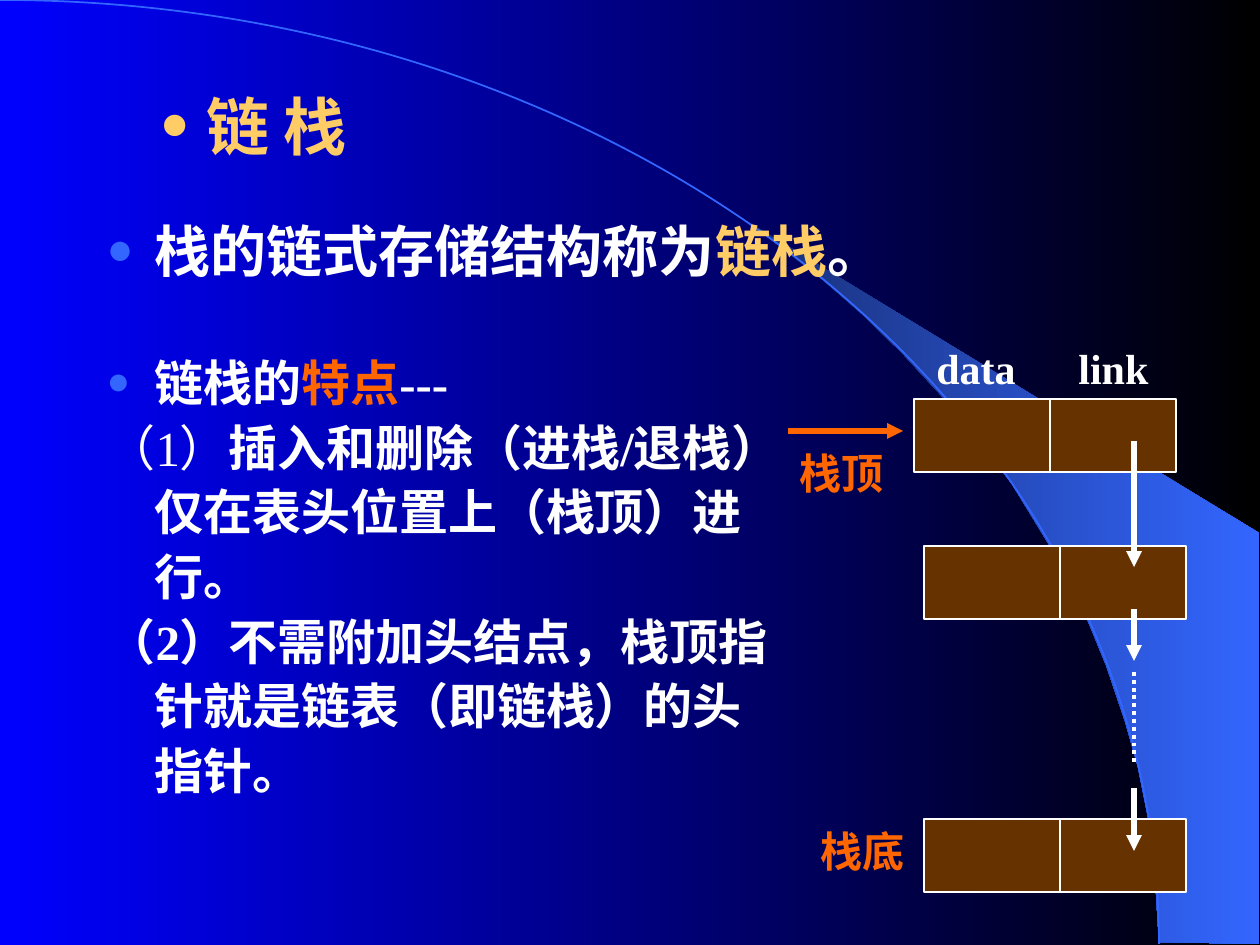
"""Build a slide that explains the linked stack with a node diagram."""
import pptx
import pptx.util
import pptx.dml.color
import pptx.enum.dml
import pptx.enum.shapes
import pptx.enum.text
import pptx.oxml.ns
from lxml import etree

PX = 914400 / 126
THEME = {
    "blue": "0000FF", "black": "000000", "navy": "182F76", "azure": "3366FF",
    "gold": "FFCC66", "orange": "FF6600", "white": "FFFFFF", "brown": "663300",
    "title": 36, "lead": 32, "body": 28, "label": 24,
    "sans": "Arial", "serif": "Times New Roman",
}

TITLE = [{"runs": [("链 栈", "gold", True)], "bullet": ("•", "gold", 142)}]
LEAD = [{"runs": [("栈的链式存储结构称为", "white", True), ("链栈", "gold", True),
                  ("。", "white", True)], "bullet": ("●", "azure", 80)}]
FEATURES = [
    {"runs": [("链栈的", "white", True), ("特点", "orange", True), ("---", "white", True)],
     "bullet": ("●", "azure", 80)},
    {"runs": [("（1）", "white", False),
              ("插入和删除（进栈/退栈）仅在表头位置上（栈顶）进行。", "white", True)],
     "spacing": 1.1},
    {"runs": [("（2）不需附加头结点，栈顶指针就是链表（即链栈）的头指针。", "white", True)],
     "spacing": 1.1},
]
PLACEHOLDERS = [
    (TITLE, (147, 46, 1071, 158), "title", "sans", 47),
    (LEAD, (94, 210, 1071, 116), "lead", "serif", 48),
    (FEATURES, (94, 346, 703, 567), "body", "serif", 48),
]
LABELS = [
    ("栈顶", (787, 441, 136, 63), "orange"),
    ("data\tlink", (924, 336, 315, 63), "white"),
    ("栈底", (808, 819, 136, 63), "orange"),
]
LINK_TAB = 142
NODES = [(914, 399), (924, 546), (924, 819)]
NODE_W, NODE_H, DATA_W = 262, 73, 136
LINK_X = 1134
LINKS = [(441, 567), (609, 661), (788, 851)]
DOTTED = (672, 766)
TOP_POINTER = (788, 431, 903, 431)
ARC = [(0, 0), (640, 0), (1159, 422), (1159, 944)]
WEDGE = [
    (1159, 942), (1259, 944), (1259, 533), (742, 218), (786, 251), (823, 280),
    (863, 315), (902, 353), (960, 416), (1012, 484), (1048, 543), (1081, 604),
    (1106, 665), (1125, 721), (1138, 767), (1150, 827), (1155, 877),
]


def emu(px):
    return pptx.util.Emu(round(px * PX))


def color(name):
    return pptx.dml.color.RGBColor.from_string(THEME[name])


def add_xml(parent, tag, **attrs):
    return etree.SubElement(parent, pptx.oxml.ns.qn(tag), attrs)


def format_run(r, size, font, tint, bold):
    r.font.size = pptx.util.Pt(THEME[size])
    r.font.name = THEME[font]
    r.font.color.rgb = color(tint)
    r.font.bold = bold


def add_bullet(pPr, char, tint, percent):
    add_xml(add_xml(pPr, "a:buClr"), "a:srgbClr", val=THEME[tint])
    add_xml(pPr, "a:buSzPct", val=str(percent * 1000))
    add_xml(pPr, "a:buFont", typeface=THEME["serif"])
    add_xml(pPr, "a:buChar", char=char)


def fill_placeholder(sp, items, box, size, font, indent):
    sp.left, sp.top, sp.width, sp.height = map(emu, box)
    tf = sp.text_frame
    tf.auto_size = pptx.enum.text.MSO_AUTO_SIZE.NONE
    for i, item in enumerate(items):
        p = tf.add_paragraph() if i else tf.paragraphs[0]
        p.alignment = pptx.enum.text.PP_ALIGN.LEFT
        p.space_before = pptx.util.Pt(0)
        p.line_spacing = item.get("spacing", 1.0)
        pPr = p._p.get_or_add_pPr()
        pPr.set("marL", str(emu(indent)))
        pPr.set("indent", str(-emu(indent)))
        if "bullet" in item:
            add_bullet(pPr, *item["bullet"])
        else:
            add_xml(pPr, "a:buNone")
        for text, tint, bold in item["runs"]:
            r = p.add_run()
            r.text = text
            format_run(r, size, font, tint, bold)


def add_label(s, text, box, tint):
    tf = s.shapes.add_textbox(*map(emu, box)).text_frame
    tf.word_wrap = True
    p = tf.paragraphs[0]
    p.text = text
    if "\t" in text:
        tabs = add_xml(p._p.get_or_add_pPr(), "a:tabLst")
        add_xml(tabs, "a:tab", pos=str(emu(LINK_TAB)), algn="l")
    for r in p.runs:
        format_run(r, "label", "serif", tint, True)


def add_line(s, ends, tint, width, arrow=False, dotted=False):
    line = s.shapes.add_connector(pptx.enum.shapes.MSO_CONNECTOR.STRAIGHT, *map(emu, ends))
    line.line.color.rgb = color(tint)
    line.line.width = pptx.util.Pt(width)
    if dotted:
        line.line.dash_style = pptx.enum.dml.MSO_LINE.ROUND_DOT
    if arrow:
        add_xml(line.line._get_or_add_ln(), "a:tailEnd", type="triangle")
    add_xml(line._element.spPr, "a:effectLst")


def add_node(s, x, y):
    sp = s.shapes.add_shape(pptx.enum.shapes.MSO_SHAPE.RECTANGLE,
                            *map(emu, (x, y, NODE_W, NODE_H)))
    sp.shadow.inherit = False
    sp.fill.solid()
    sp.fill.fore_color.rgb = color("brown")
    sp.line.color.rgb = color("white")
    sp.line.width = pptx.util.Pt(0.75)
    add_line(s, (x + DATA_W, y, x + DATA_W, y + NODE_H), "white", 0.75)


def set_gradient(fill, *tints):
    fill.gradient()
    fill.gradient_angle = 0
    for stop, position, tint in zip(fill.gradient_stops, (0, 1), tints):
        stop.position = position
        stop.color.rgb = color(tint)


def add_outline(s, points, close, depth):
    builder = s.shapes.build_freeform(*map(emu, points[0]))
    builder.add_line_segments([tuple(map(emu, pt)) for pt in points[1:]], close=close)
    sp = builder.convert_to_shape()
    sp.shadow.inherit = False
    s.shapes._spTree.insert(depth, sp._element)
    return sp


def bend(sp, controls):
    segment = next(sp._element.iter(pptx.oxml.ns.qn("a:lnTo")))
    segment.tag = pptx.oxml.ns.qn("a:cubicBezTo")
    for i, (x, y) in enumerate(controls):
        pt = add_xml(segment, "a:pt", x=str(emu(x)), y=str(emu(y)))
        segment.insert(i, pt)


def add_backdrop(s):
    set_gradient(s.background.fill, "blue", "black")
    wedge = add_outline(s, WEDGE, True, 2)
    set_gradient(wedge.fill, "navy", "azure")
    wedge.line.fill.background()
    curve = add_outline(s, [ARC[0], ARC[-1]], False, 3)
    bend(curve, ARC[1:-1])
    curve.fill.background()
    curve.line.color.rgb = color("azure")
    curve.line.width = pptx.util.Pt(1)


def main():
    prs = pptx.Presentation()
    prs.slide_width, prs.slide_height = emu(1260), emu(945)
    s = prs.slides.add_slide(prs.slide_layouts[3])
    add_backdrop(s)
    for idx, content in enumerate(PLACEHOLDERS):
        fill_placeholder(s.placeholders[idx], *content)
    for node in NODES:
        add_node(s, *node)
    for label in LABELS:
        add_label(s, *label)
    add_line(s, TOP_POINTER, "orange", 3, arrow=True)
    for top, bottom in LINKS:
        add_line(s, (LINK_X, top, LINK_X, bottom), "white", 3, arrow=True)
    add_line(s, (LINK_X, DOTTED[0], LINK_X, DOTTED[1]), "white", 2.25, dotted=True)
    prs.save("out.pptx")


if __name__ == "__main__":
    main()
